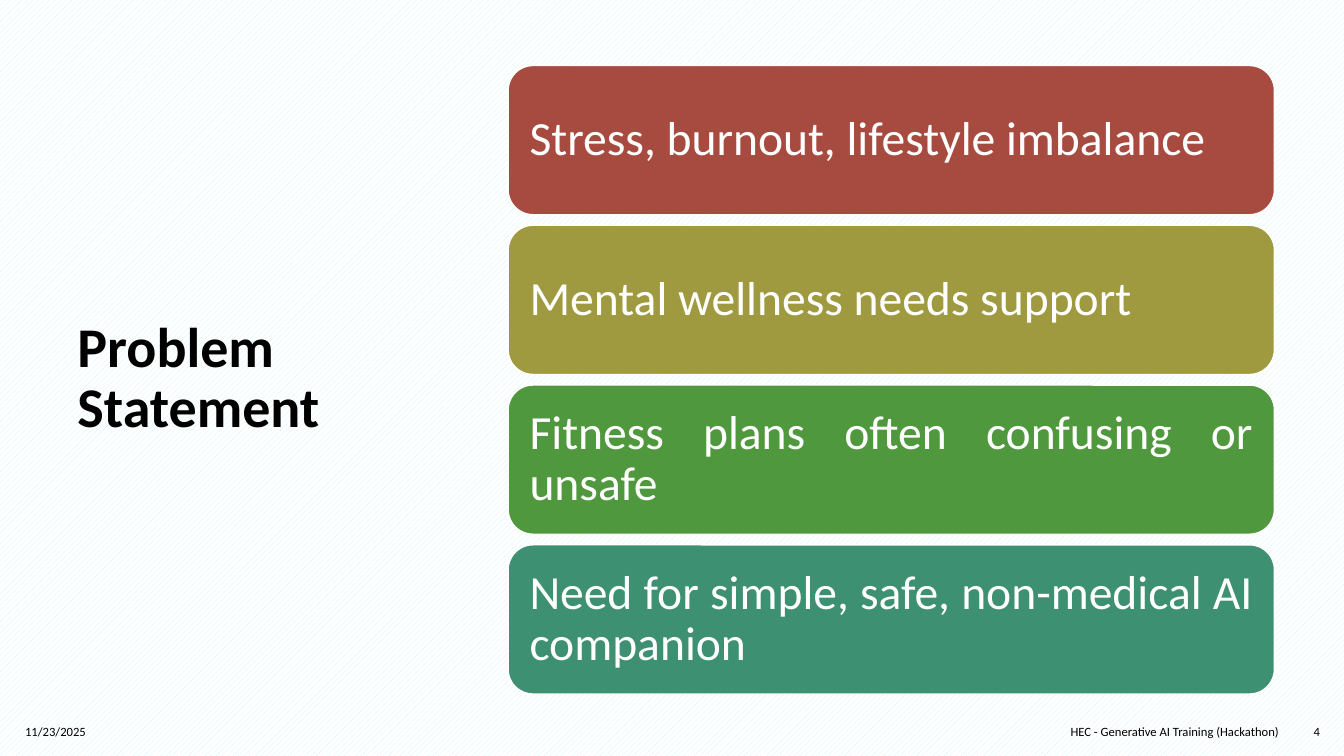
from dataclasses import dataclass

from pptx import Presentation
from pptx import util as u
from pptx.dml.color import RGBColor
from pptx.enum import dml, shapes, text

FONT = "Calibri"
CARD_LEFT, CARD_TOP = 5.04, 0.65
CARD_WIDTH, CARD_HEIGHT = 7.6, 1.48
CARD_PITCH = 1.585


@dataclass
class Card:
    label: str
    fill: str


@dataclass
class Label:
    label: str
    left: float
    top: float
    width: float
    height: float
    size: float = 9
    bold: bool = False
    align: text.PP_ALIGN = text.PP_ALIGN.LEFT
    spacing: float = 1.0


CARDS = [
    Card("Stress, burnout, lifestyle imbalance", "A74B40"),
    Card("Mental wellness needs support", "9F9A3F"),
    Card("Fitness plans often confusing or unsafe", "50983E"),
    Card("Need for simple, safe, non-medical AI companion", "3D9072"),
]

LABELS = [
    Label("Problem Statement", 0.67, 0.6, 3.82, 6.33, size=40, bold=True, spacing=0.9),
    Label("11/23/2025", 0.15, 7.06, 3.82, 0.4),
    Label("HEC - Generative AI Training (Hackathon)", 9.71, 7.06, 3.07, 0.4,
          align=text.PP_ALIGN.RIGHT),
    Label("4", 12.72, 7.06, 0.47, 0.4, align=text.PP_ALIGN.RIGHT),
]


def rgb(color: str) -> RGBColor:
    return RGBColor.from_string(color)


def write(sp, label: str, size: float, color: str, align: text.PP_ALIGN,
          spacing: float, bold: bool = False) -> None:
    tf = sp.text_frame
    tf.text = label
    tf.word_wrap = True
    tf.vertical_anchor = text.MSO_ANCHOR.MIDDLE
    p = tf.paragraphs[0]
    p.alignment = align
    p.line_spacing = spacing
    r = p.runs[0]
    r.font.name = FONT
    r.font.size = u.Pt(size)
    r.font.bold = bold
    r.font.color.rgb = rgb(color)


def add_card(s, card: Card, row: int) -> None:
    sp = s.shapes.add_shape(
        shapes.MSO_SHAPE.ROUNDED_RECTANGLE,
        u.Inches(CARD_LEFT), u.Inches(CARD_TOP + row * CARD_PITCH),
        u.Inches(CARD_WIDTH), u.Inches(CARD_HEIGHT))
    sp.shadow.inherit = False
    sp.fill.solid()
    sp.fill.fore_color.rgb = rgb(card.fill)
    sp.line.color.rgb = rgb("FFFFFF")
    sp.line.width = u.Pt(1)
    tf = sp.text_frame
    tf.margin_left = tf.margin_right = u.Inches(0.14)
    tf.margin_top = tf.margin_bottom = u.Inches(0.14)
    write(sp, card.label, 34, "FFFFFF", text.PP_ALIGN.JUSTIFY, 0.9)


def add_label(s, item: Label) -> None:
    sp = s.shapes.add_textbox(u.Inches(item.left), u.Inches(item.top),
                              u.Inches(item.width), u.Inches(item.height))
    write(sp, item.label, item.size, "000000", item.align, item.spacing, item.bold)


def main() -> None:
    prs = Presentation()
    prs.slide_width, prs.slide_height = u.Inches(13.33), u.Inches(7.5)
    s = prs.slides.add_slide(prs.slide_layouts[6])

    # Striped background
    fill = s.background.fill
    fill.patterned()
    fill.pattern = dml.MSO_PATTERN.WIDE_UPWARD_DIAGONAL
    fill.fore_color.rgb = rgb("C5F7F6")
    fill.back_color.rgb = rgb("FFFFFF")

    # Title and footer
    for item in LABELS:
        add_label(s, item)

    # Problem cards
    for row, card in enumerate(CARDS):
        add_card(s, card, row)

    prs.save("out.pptx")


if __name__ == "__main__":
    main()
